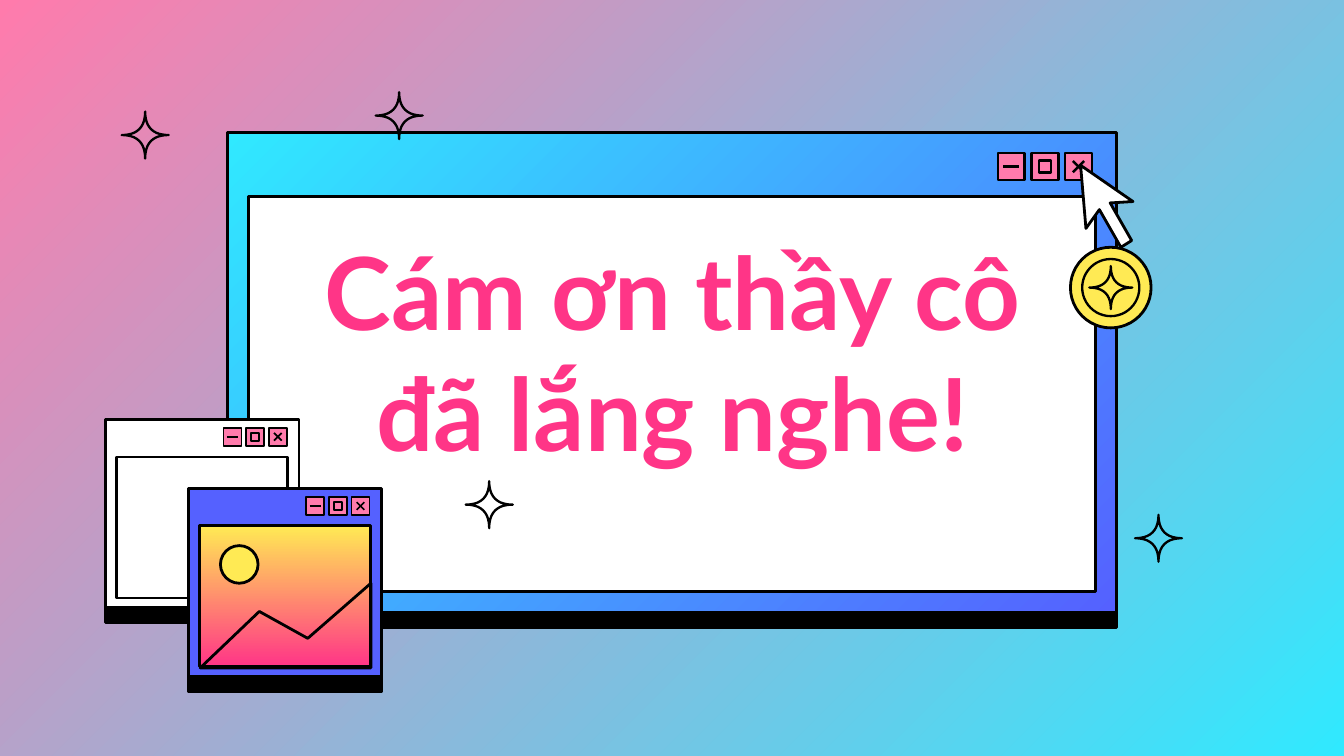
import math

import lxml.etree
import pptx
import pptx.dml.color
import pptx.enum.shapes
import pptx.enum.text
import pptx.oxml.ns
import pptx.util

COLORS = {
    "black": "000000", "white": "FFFFFF", "pink": "FF7BAC", "hot_pink": "FF3587",
    "cyan": "30E9FF", "blue": "5561FF", "yellow": "FFEA54",
}
WIDTH = pptx.util.Inches(10)
HEIGHT = WIDTH * 9 // 16
COLUMNS = 100  # square grid cells, so rows have the same size as columns
RECTANGLE = pptx.enum.shapes.MSO_SHAPE.RECTANGLE
OVAL = pptx.enum.shapes.MSO_SHAPE.OVAL


def cells(count):
    return round(WIDTH * count / COLUMNS)


def color(name):
    return pptx.dml.color.RGBColor.from_string(COLORS[name])


def paint(fill, paint_name, angle=0):
    """Fill with nothing, one colour, or a pair of colours as a gradient."""
    if paint_name is None:
        fill.background()
    elif isinstance(paint_name, tuple):
        fill.gradient()
        fill.gradient_angle = 360 - angle
        for stop, name in zip(fill.gradient_stops, paint_name):
            stop.color.rgb = color(name)
    else:
        fill.solid()
        fill.fore_color.rgb = color(paint_name)


def outline(line, weight):
    line.color.rgb = color("black")
    line.width = pptx.util.Pt(weight)
    properties = line._get_or_add_ln()
    lxml.etree.SubElement(properties, pptx.oxml.ns.qn("a:round"))


def add_block(slide, kind, left, top, width, height, fill, weight=1.5, angle=0):
    shape = slide.shapes.add_shape(
        kind, cells(left), cells(top), cells(width), cells(height))
    shape.shadow.inherit = False
    paint(shape.fill, fill, angle)
    outline(shape.line, weight)
    return shape


def add_centred(slide, kind, x, y, size, fill, weight):
    return add_block(slide, kind, x - size / 2, y - size / 2, size, size, fill, weight)


def add_outline(slide, points, fill, weight=1.5):
    corners = [(cells(x), cells(y)) for x, y in points]
    builder = slide.shapes.build_freeform(*corners[0], scale=1.0)
    builder.add_line_segments(corners[1:], close=True)
    shape = builder.convert_to_shape()
    shape.shadow.inherit = False
    paint(shape.fill, fill)
    outline(shape.line, weight)


def add_stroke(slide, start, end, weight):
    connector = slide.shapes.add_connector(
        pptx.enum.shapes.MSO_CONNECTOR.STRAIGHT,
        cells(start[0]), cells(start[1]), cells(end[0]), cells(end[1]))
    outline(connector.line, weight)
    lxml.etree.SubElement(connector._element.spPr, pptx.oxml.ns.qn("a:effectLst"))


def add_sparkle(slide, x, y, radius=1.75, weight=1.25):
    """Four-pointed star with concave sides."""
    points = []
    for step in range(64):
        turn = math.tau * step / 64
        cosine, sine = math.cos(turn), math.sin(turn)
        points.append((x + radius * math.copysign(cosine ** 4, cosine),
                       y + radius * math.copysign(sine ** 4, sine)))
    add_outline(slide, points, None, weight)


def add_hard_shadow(shape, distance):
    effects = shape._element.spPr.find(pptx.oxml.ns.qn("a:effectLst"))
    shadow = lxml.etree.SubElement(
        effects, pptx.oxml.ns.qn("a:outerShdw"),
        dist=str(pptx.util.Pt(distance)), dir="5400000", algn="bl", rotWithShape="0")
    lxml.etree.SubElement(shadow, pptx.oxml.ns.qn("a:srgbClr"), val=COLORS["black"])


def add_window(slide, frame, frame_fill, panel, panel_fill, panel_angle=0):
    shape = add_block(slide, RECTANGLE, *frame, frame_fill, angle=45)
    add_hard_shadow(shape, 8.2)
    add_block(slide, RECTANGLE, *panel, panel_fill, angle=panel_angle)


def add_controls(slide, x, y, side):
    """Minimise, maximise and close buttons; x, y is the first one's centre."""
    weight = 0.7 * side
    minimise, maximise, close = (x + side * 1.25 * index for index in range(3))
    for centre in (minimise, maximise, close):
        add_centred(slide, RECTANGLE, centre, y, side, "pink", weight)
    dash, arm = side * 0.3, side * 0.21
    add_stroke(slide, (minimise - dash, y), (minimise + dash, y), weight)
    add_centred(slide, RECTANGLE, maximise, y, side * 0.45, None, weight)
    for rise in (arm, -arm):
        add_stroke(slide, (close - arm, y - rise), (close + arm, y + rise), weight)


def add_title(slide, text):
    box = slide.shapes.add_textbox(cells(18.63), cells(17.85), cells(62.8), cells(16.5))
    frame = box.text_frame
    frame.word_wrap = True
    frame.vertical_anchor = pptx.enum.text.MSO_ANCHOR.MIDDLE
    frame.margin_left = frame.margin_right = cells(1)
    frame.margin_top = frame.margin_bottom = cells(1)
    frame.text = text
    paragraph = frame.paragraphs[0]
    paragraph.alignment = pptx.enum.text.PP_ALIGN.CENTER
    font = paragraph.runs[0].font
    font.name, font.size, font.bold = "Lato", pptx.util.Pt(54), True
    font.color.rgb = color("hot_pink")


def add_coin(slide, x, y):
    add_centred(slide, OVAL, x, y, 6, "yellow", 1.5)
    add_centred(slide, OVAL, x, y, 4.25, None, 1.25)
    add_sparkle(slide, x, y, 1.6)


def add_landscape(slide):
    add_block(slide, OVAL, 16.4, 40.6, 2.8, 2.8, "yellow")
    add_outline(slide, [(27.6, 49.7), (14.9, 49.7), (19.3, 45.5),
                        (22.9, 47.5), (27.6, 43.4)], None)


def main():
    presentation = pptx.Presentation()
    presentation.slide_width, presentation.slide_height = WIDTH, HEIGHT
    slide = presentation.slides.add_slide(presentation.slide_layouts[6])
    paint(slide.background.fill, ("pink", "cyan"), 45)

    # Main window with its message
    add_window(slide, (16.9, 9.84, 66.2, 35.7), ("cyan", "blue"),
               (18.5, 14.63, 63, 29.4), "white")
    add_controls(slide, 75.25, 12.4, 2)
    add_title(slide, "Cám ơn thầy cô đã lắng nghe!")

    # Pointer and coin
    add_outline(slide, [(80.4, 12.3), (80.8, 17), (81.8, 15.6), (83.4, 18.4),
                        (84.2, 17.9), (82.6, 15.1), (84.3, 15)], "white")
    add_coin(slide, 82.65, 21.4)

    # Sparkles
    for x, y in ((86.2, 40.05), (10.8, 10.05), (36.4, 37.55), (29.7, 8.6)):
        add_sparkle(slide, x, y)

    # Empty small window, then the one with a landscape
    add_window(slide, (7.86, 31.2, 14.4, 14), "white",
               (8.7, 34, 12.7, 10.5), "white")
    add_controls(slide, 17.3, 32.5, 1.35)
    add_window(slide, (14, 36.36, 14.4, 14), "blue",
               (14.87, 39.1, 12.7, 10.5), ("yellow", "hot_pink"), 90)
    add_landscape(slide)
    add_controls(slide, 23.45, 37.65, 1.35)

    presentation.save("out.pptx")


if __name__ == "__main__":
    main()
